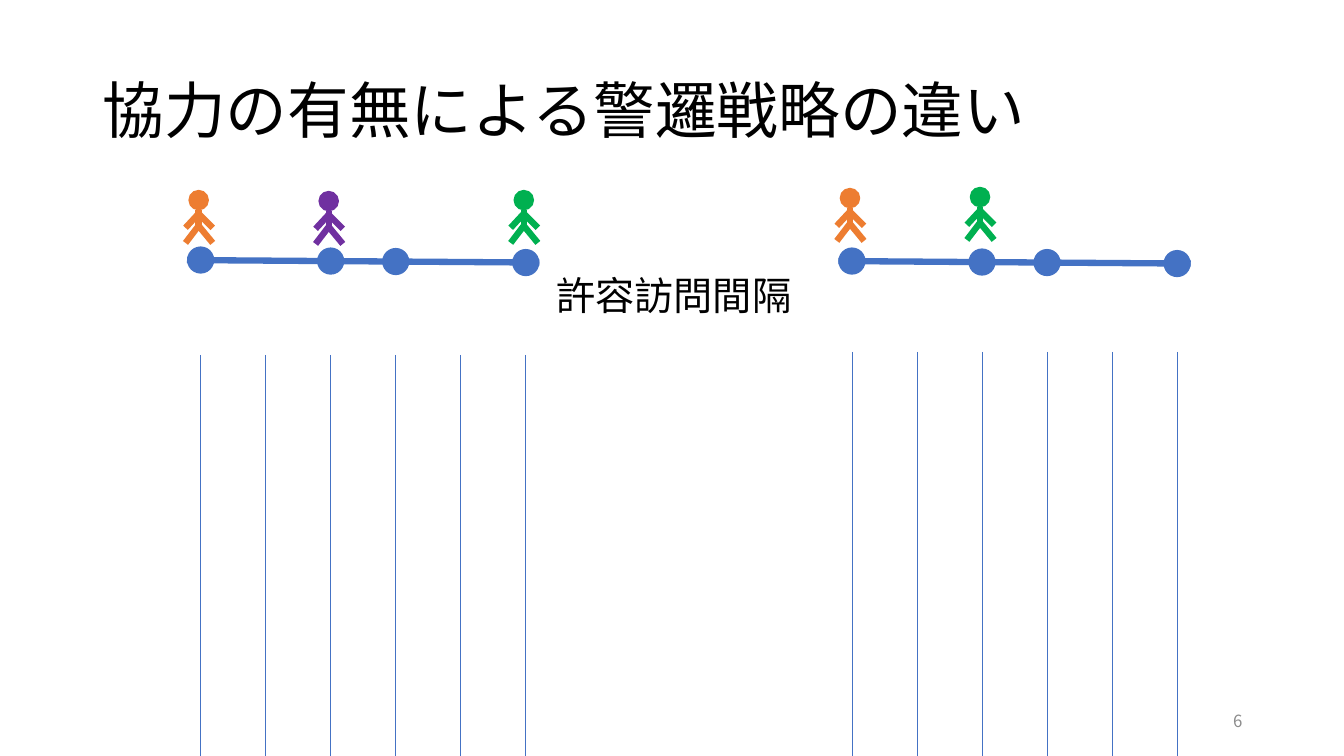
import pptx
import pptx.util
import pptx.dml.color
import pptx.enum.shapes
import pptx.enum.text
import pptx.oxml
import pptx.oxml.ns

RGB = pptx.dml.color.RGBColor
BLUE = RGB(0x44, 0x72, 0xC4)
ORANGE = RGB(0xED, 0x7D, 0x31)
GREEN = RGB(0x00, 0xB0, 0x50)
PURPLE = RGB(0x70, 0x30, 0xA0)
BLACK = RGB(0, 0, 0)
GRAY = RGB(0x8C, 0x8C, 0x8C)
FONT = "Noto Sans CJK JP"
Inches, Pt = pptx.util.Inches, pptx.util.Pt
ALIGN = pptx.enum.text.PP_ALIGN
ANCHOR = pptx.enum.text.MSO_ANCHOR

# Content: text, box, size, colour, alignment, anchor, wrap
W, H = 13.33, 7.5
TEXTS = [
    ("協力の有無による警邏戦略の違い", (0.92, 0.4, 11.5, 1.45), 44, BLACK,
     ALIGN.LEFT, ANCHOR.MIDDLE, True),
    ("6", (9.42, 6.95, 3, 0.4), 12, GRAY, ALIGN.RIGHT, ANCHOR.MIDDLE, True),
    ("許容訪問間隔", (5.42, 2.64, 2.56, 0.57), 28, BLACK,
     ALIGN.LEFT, ANCHOR.TOP, False),
]
# Each route: first column x, y, top of the time lines, guards (column, colour, head top)
ROUTES = [
    (1.99, 2.58, 3.52, [(0, ORANGE, 1.89), (5, GREEN, 1.89), (2, PURPLE, 1.9)]),
    (8.45, 2.59, 3.49, [(0, ORANGE, 1.87), (2, GREEN, 1.86)]),
]
STEP, COLUMNS = 0.645, 6
NODES = [0, 2, 3, 5]
TILT = 0.025 / 5  # drop of the route per column
DOT, HEAD = 0.27, 0.19
# Limbs from the head's top centre: body, legs, arms
LIMBS = [(0, 0.19, 0, 0.36), (0, 0.35, 0.14, 0.52), (0, 0.23, 0.14, 0.37),
         (0, 0.23, -0.13, 0.37), (0, 0.35, -0.13, 0.52)]


def add_line(shapes, x1, y1, x2, y2, color, width):
    c = shapes.add_connector(pptx.enum.shapes.MSO_CONNECTOR.STRAIGHT,
                             Inches(x1), Inches(y1), Inches(x2), Inches(y2))
    c.line.color.rgb = color
    c.line.width = Pt(width)
    c._element.spPr.append(pptx.oxml.parse_xml(
        f"<a:effectLst {pptx.oxml.ns.nsdecls('a')}/>"))


def add_circle(shapes, cx, cy, size, color, outlined=False):
    sp = shapes.add_shape(pptx.enum.shapes.MSO_SHAPE.OVAL, Inches(cx - size / 2),
                          Inches(cy - size / 2), Inches(size), Inches(size))
    sp.shadow.inherit = False
    sp.fill.solid()
    sp.fill.fore_color.rgb = color
    if outlined:
        sp.line.color.rgb = color
        sp.line.width = Pt(1)
    else:
        sp.line.fill.background()


def add_route(s, x, y):
    shapes = s.shapes.add_group_shape().shapes
    add_line(shapes, x - DOT / 2, y, x + 5 * STEP + DOT / 2, y + 5 * TILT, BLUE, 4.5)
    for column in NODES:
        add_circle(shapes, x + column * STEP, y + column * TILT, DOT, BLUE)


def add_guard(s, cx, top, color):
    shapes = s.shapes.add_group_shape().shapes
    add_circle(shapes, cx, top + HEAD / 2, HEAD, color, outlined=True)
    for x1, y1, x2, y2 in LIMBS:
        add_line(shapes, cx + x1, top + y1, cx + x2, top + y2, color, 4.5)


def add_text(s, text, box, size, color, align, anchor, wrap):
    tf = s.shapes.add_textbox(*map(Inches, box)).text_frame
    tf.word_wrap = wrap
    tf.vertical_anchor = anchor
    p = tf.paragraphs[0]
    p.text = text
    p.alignment = align
    if size == 44:
        p.line_spacing = 0.9
    p.font.size = Pt(size)
    p.font.color.rgb = color
    p.font.name = FONT
    p._p.pPr.find(pptx.oxml.ns.qn("a:defRPr")).append(pptx.oxml.parse_xml(
        f'<a:ea {pptx.oxml.ns.nsdecls("a")} typeface="{FONT}"/>'))


def main():
    prs = pptx.Presentation()
    prs.slide_width, prs.slide_height = Inches(W), Inches(H)
    s = prs.slides.add_slide(prs.slide_layouts[6])

    # Routes with their guards
    for x, y, _, guards in ROUTES:
        add_route(s, x, y)
        for column, color, top in guards:
            add_guard(s, x + column * STEP - 0.02, top, color)

    # Title, page number and label
    for item in TEXTS:
        add_text(s, *item)

    # Time lines below each route
    for x, _, top, _ in ROUTES:
        shapes = s.shapes.add_group_shape().shapes
        for column in range(COLUMNS):
            cx = x + column * STEP
            add_line(shapes, cx, top, cx, H, BLUE, 0.5)

    prs.save("out.pptx")


if __name__ == "__main__":
    main()
